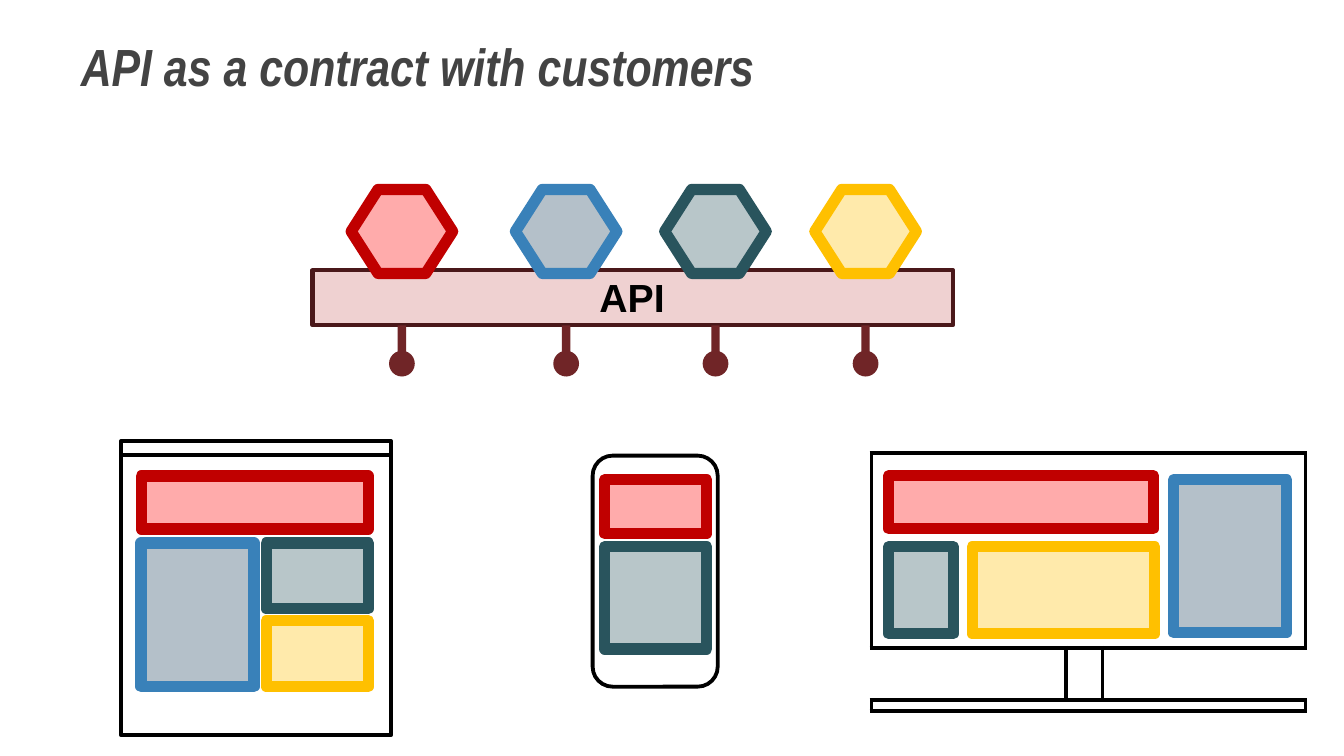
from lxml.etree import SubElement
from pptx import Presentation
from pptx.dml.color import RGBColor
from pptx.enum.shapes import MSO_SHAPE
from pptx.enum.text import MSO_ANCHOR, MSO_AUTO_SIZE, PP_ALIGN
from pptx.oxml.ns import qn
from pptx.util import Pt

BLACK = RGBColor(0x00, 0x00, 0x00)
GREY = RGBColor(0x43, 0x43, 0x43)
ROSE = RGBColor(0xD0, 0x75, 0x76)
MAROON = RGBColor(0x4A, 0x18, 0x1A)
WINE = RGBColor(0x70, 0x25, 0x27)
SCARLET = RGBColor(0xFF, 0x00, 0x00)
CRIMSON = RGBColor(0xC0, 0x00, 0x00)
NAVY = RGBColor(0x1D, 0x40, 0x5D)
AZURE = RGBColor(0x39, 0x81, 0xB9)
PINE = RGBColor(0x29, 0x54, 0x5D)
AMBER = RGBColor(0xFF, 0xC0, 0x00)

# Each service keeps one fill and line pair on every device.
RED, BLUE, TEAL, GOLD = (SCARLET, CRIMSON), (NAVY, AZURE), (PINE, PINE), (AMBER, AMBER)
RECT = MSO_SHAPE.RECTANGLE


def write(shape, text, font, size, color, bold=True, italic=False, before=1):
    frame = shape.text_frame
    frame.word_wrap = True
    frame.auto_size = MSO_AUTO_SIZE.NONE
    frame.vertical_anchor = MSO_ANCHOR.TOP
    frame.margin_left = frame.margin_top = Pt(0.8)
    frame.margin_right = frame.margin_bottom = 0
    para = frame.paragraphs[0]
    para.alignment = PP_ALIGN.LEFT
    para.space_before = Pt(before)
    run = para.add_run()
    run.text = text
    run.font.name, run.font.size = font, Pt(size)
    run.font.bold, run.font.italic = bold, italic
    run.font.color.rgb = color


def draw(slide, kind, x, y, w, h, fill=None, line=None, weight=2.04, alpha=None):
    shape = slide.shapes.add_shape(kind, Pt(x), Pt(y), Pt(w), Pt(h))
    shape.shadow.inherit = False
    if fill is None:
        shape.fill.background()
    else:
        shape.fill.solid()
        shape.fill.fore_color.rgb = fill
        if alpha:
            color = shape.fill._xPr.find(".//" + qn("a:srgbClr"))
            SubElement(color, qn("a:alpha"), val=str(alpha * 1000))
    if line is None:
        shape.line.fill.background()
    else:
        shape.line.color.rgb = line
        shape.line.width = Pt(weight)
    return shape


def tile(slide, tone, x, y, w, h, kind=RECT):
    return draw(slide, kind, x, y, w, h, *tone, weight=6, alpha=33)


def heading(slide, x, y, w, h):
    title = slide.shapes.title
    title.left, title.top, title.width, title.height = Pt(x), Pt(y), Pt(w), Pt(h)
    write(title, "API as a contract with customers", "Arial Narrow", 28, GREY,
          italic=True, before=0.9)


def gateway(slide, x, y, w, h):
    """The API bar with services on top and sockets below."""
    draw(slide, RECT, x, y, w, h, ROSE, MAROON, weight=2.28, alpha=33)
    label = slide.shapes.add_textbox(Pt(x + 152.8), Pt(y + 0.8), Pt(37), Pt(27.4))
    write(label, "API", "Arial", 21, BLACK)
    wide, tall, stem, ball = 54.4, 45, 4.5, 13.8
    for tone, mid in zip((RED, BLUE, TEAL, GOLD), (47.8, 135.8, 215.8, 296.2)):
        mid += x
        hexagon = tile(slide, tone, mid - wide / 2, y - 43.3, wide, tall, MSO_SHAPE.HEXAGON)
        hexagon.adjustments[0] = 0.32
        draw(slide, RECT, mid - stem / 2, y + h, stem, 20, WINE)
        draw(slide, MSO_SHAPE.OVAL, mid - ball / 2, y + h + 13.6, ball, ball, WINE)


def browser(slide, x, y, w, h):
    bar = 7.5
    tile(slide, RED, x + 10.8, y + 18.9, 121.7, 28.4)
    tile(slide, BLUE, x + 10.8, y + 54.7, 60.5, 77)
    tile(slide, TEAL, x + 77.8, y + 54.7, 54.7, 35.3)
    tile(slide, GOLD, x + 77.8, y + 96.4, 54.7, 35.3)
    draw(slide, RECT, x, y + bar, w, h - bar, line=BLACK)
    draw(slide, RECT, x, y, w, bar, line=BLACK)


def phone(slide, x, y, w, h):
    tile(slide, RED, x + 6.5, y + 13, 54.7, 28.8)
    tile(slide, TEAL, x + 6.5, y + 48.9, 54.7, 54.7)
    case = draw(slide, MSO_SHAPE.ROUNDED_RECTANGLE, x, y, w, h, line=BLACK)
    case.adjustments[0] = 0.16


def edge(cell, sides):
    props = cell._tc.get_or_add_tcPr()
    for side in "LRTB":
        line = SubElement(props, qn("a:ln" + side), w=str(Pt(2.25)))
        if side in sides:
            fill = SubElement(line, qn("a:solidFill"))
            SubElement(fill, qn("a:srgbClr"), val=str(BLACK))
        else:
            SubElement(line, qn("a:noFill"))


def monitor(slide, x, y, w, h):
    """Screen, stand and foot are the rows of one table."""
    table = slide.shapes.add_table(3, 3, Pt(x), Pt(y), Pt(w), Pt(h)).table
    table.first_row = table.horz_banding = False
    for col, width in zip(table.columns, (104.4, 19.4, w - 123.8)):
        col.width = Pt(width)
    for row, height in zip(table.rows, (104.4, 28.1, h - 132.5)):
        row.height = Pt(height)
    sides = (("LRTB",) * 3, ("RTB", "LRTB", "LTB"), ("LTB", "TB", "RTB"))
    for row, marks in zip(table.rows, sides):
        for cell, mark in zip(row.cells, marks):
            cell.margin_left = cell.margin_right = 0
            cell.margin_top = cell.margin_bottom = 0
            edge(cell, mark)
            cell.fill.background()
            SubElement(cell.text_frame.paragraphs[0]._p, qn("a:endParaRPr"), sz="100")
    table.cell(0, 0).merge(table.cell(0, 2))
    tile(slide, RED, x + 9.3, y + 12.3, 141.8, 28.4)
    tile(slide, BLUE, x + 162, y + 14.4, 60.5, 82.1)
    tile(slide, TEAL, x + 9.3, y + 50.4, 34.6, 46.6)
    tile(slide, GOLD, x + 54, y + 50.4, 97.9, 46.6)


def main():
    deck = Presentation()
    deck.slide_width, deck.slide_height = Pt(720), Pt(405)
    slide = deck.slides.add_slide(deck.slide_layouts[5])
    heading(slide, 42.5, 17.3, 366, 35.3)
    gateway(slide, 167.5, 144.8, 343, 29.5)
    phone(slide, 317.5, 244.1, 67, 123.8)
    monitor(slide, 466.8, 242.6, 232.5, 138.3)
    browser(slide, 64.8, 236.2, 144.7, 157.7)
    deck.save("out.pptx")


if __name__ == "__main__":
    main()
